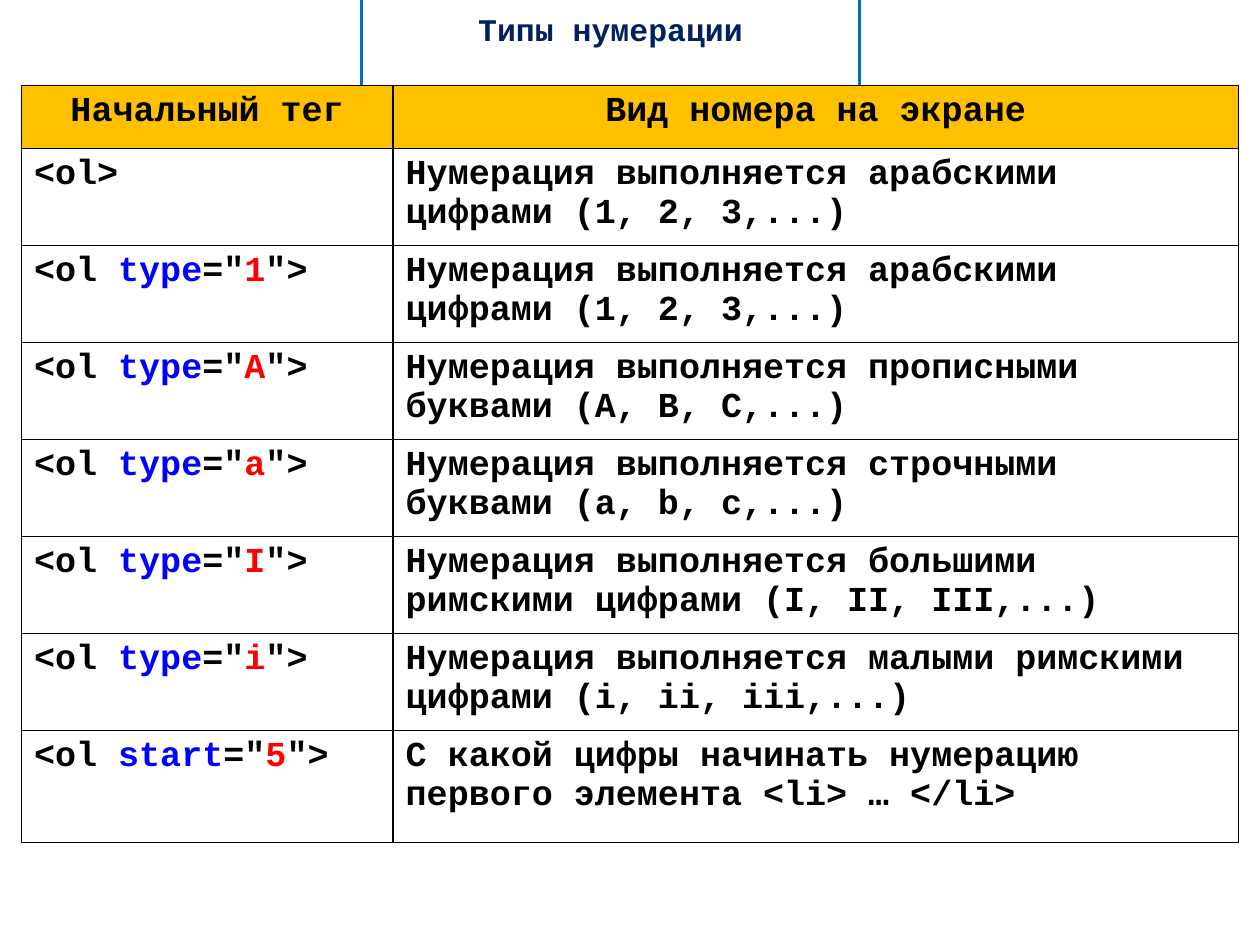
from lxml.etree import SubElement
from pptx import Presentation
from pptx.dml.color import RGBColor
from pptx.enum.text import MSO_ANCHOR, MSO_AUTO_SIZE, PP_ALIGN
from pptx.oxml.ns import qn
from pptx.util import Inches, Pt

FONT = "Courier New"
BLACK = RGBColor(0x00, 0x00, 0x00)
NAVY = RGBColor(0x00, 0x20, 0x60)
FRAME_BLUE = RGBColor(0x00, 0x70, 0xC0)
AMBER = RGBColor(0xFF, 0xC0, 0x00)
ATTRIBUTE_BLUE = RGBColor(0x00, 0x00, 0xFF)
VALUE_RED = RGBColor(0xFF, 0x00, 0x00)

HEADINGS = ("Начальный тег", "Вид номера на экране")
ARABIC = "арабскими цифрами (1, 2, 3,...)"
# Attribute, value and numbering style of each tag
NUMBERINGS = [
    (None, None, ARABIC),
    ("type", "1", ARABIC),
    ("type", "A", "прописными буквами (A, B, C,...)"),
    ("type", "a", "строчными буквами (a, b, c,...)"),
    ("type", "I", "большими римскими цифрами (I, II, III,...)"),
    ("type", "i", "малыми римскими цифрами (i, ii, iii,...)"),
]
START_LINES = ["C какой цифры начинать нумерацию",
               "первого элемента <li> … </li>"]

COLUMN_WIDTHS = (2.95, 6.71)
ROW_HEIGHTS = [0.5] + [0.77] * len(NUMBERINGS) + [0.89]


def add_span(para, text, color=BLACK, size=20):
    span = para.add_run()
    span.text = text
    span.font.name = FONT
    span.font.size = Pt(size)
    span.font.bold = True
    span.font.color.rgb = color


def add_title(slide, left, top, width, height):
    box = slide.shapes.title
    box.left, box.top, box.width, box.height = left, top, width, height
    box.line.color.rgb = FRAME_BLUE
    box.line.width = Pt(1.5)
    frame = box.text_frame
    frame.word_wrap = True
    frame.auto_size = MSO_AUTO_SIZE.SHAPE_TO_FIT_TEXT
    frame.vertical_anchor = MSO_ANCHOR.MIDDLE
    para = frame.paragraphs[0]
    para.alignment = PP_ALIGN.CENTER
    add_span(para, "Типы нумерации", NAVY, 18)


def add_borders(cell):
    properties = cell._tc.get_or_add_tcPr()
    for position, side in enumerate(("a:lnL", "a:lnR", "a:lnT", "a:lnB")):
        line = properties.makeelement(qn(side), {"w": str(Pt(1))})
        fill = SubElement(line, qn("a:solidFill"))
        SubElement(fill, qn("a:srgbClr"), val=str(BLACK))
        properties.insert(position, line)


def write_tag(para, attribute, value):
    if attribute is None:
        add_span(para, "<ol>")
        return
    add_span(para, "<ol ")
    add_span(para, attribute, ATTRIBUTE_BLUE)
    add_span(para, '="')
    add_span(para, value, VALUE_RED)
    add_span(para, '">')


def write_lines(cell, lines):
    frame = cell.text_frame
    for index, line in enumerate(lines):
        para = frame.add_paragraph() if index else frame.paragraphs[0]
        add_span(para, line)


def add_numbering_table(slide, left, top, width, height):
    table = slide.shapes.add_table(
        len(ROW_HEIGHTS), len(COLUMN_WIDTHS), left, top, width, height).table
    table.first_row = table.horz_banding = False
    for column, column_width in zip(table.columns, COLUMN_WIDTHS):
        column.width = Inches(column_width)
    for row, row_height in zip(table.rows, ROW_HEIGHTS):
        row.height = Inches(row_height)
    for cell in table.iter_cells():
        cell.fill.background()
        add_borders(cell)

    # Heading row
    for index, heading in enumerate(HEADINGS):
        cell = table.cell(0, index)
        cell.fill.solid()
        cell.fill.fore_color.rgb = AMBER
        para = cell.text_frame.paragraphs[0]
        para.alignment = PP_ALIGN.CENTER
        add_span(para, heading)

    # Tag rows
    rows = [(attribute, value, [f"Нумерация выполняется {style}"])
            for attribute, value, style in NUMBERINGS]
    rows.append(("start", "5", START_LINES))
    for index, (attribute, value, lines) in enumerate(rows, start=1):
        tag_cell = table.cell(index, 0)
        write_tag(tag_cell.text_frame.paragraphs[0], attribute, value)
        write_lines(table.cell(index, 1), lines)


def main():
    deck = Presentation()
    deck.slide_width, deck.slide_height = Inches(10), Inches(7.5)
    slide = deck.slides.add_slide(deck.slide_layouts[5])
    add_title(slide, Inches(2.87), Inches(0.03), Inches(3.95), Inches(0.4))
    add_numbering_table(slide, Inches(0.17), Inches(0.68),
                        Inches(sum(COLUMN_WIDTHS)), Inches(sum(ROW_HEIGHTS)))
    deck.save("out.pptx")


if __name__ == "__main__":
    main()
